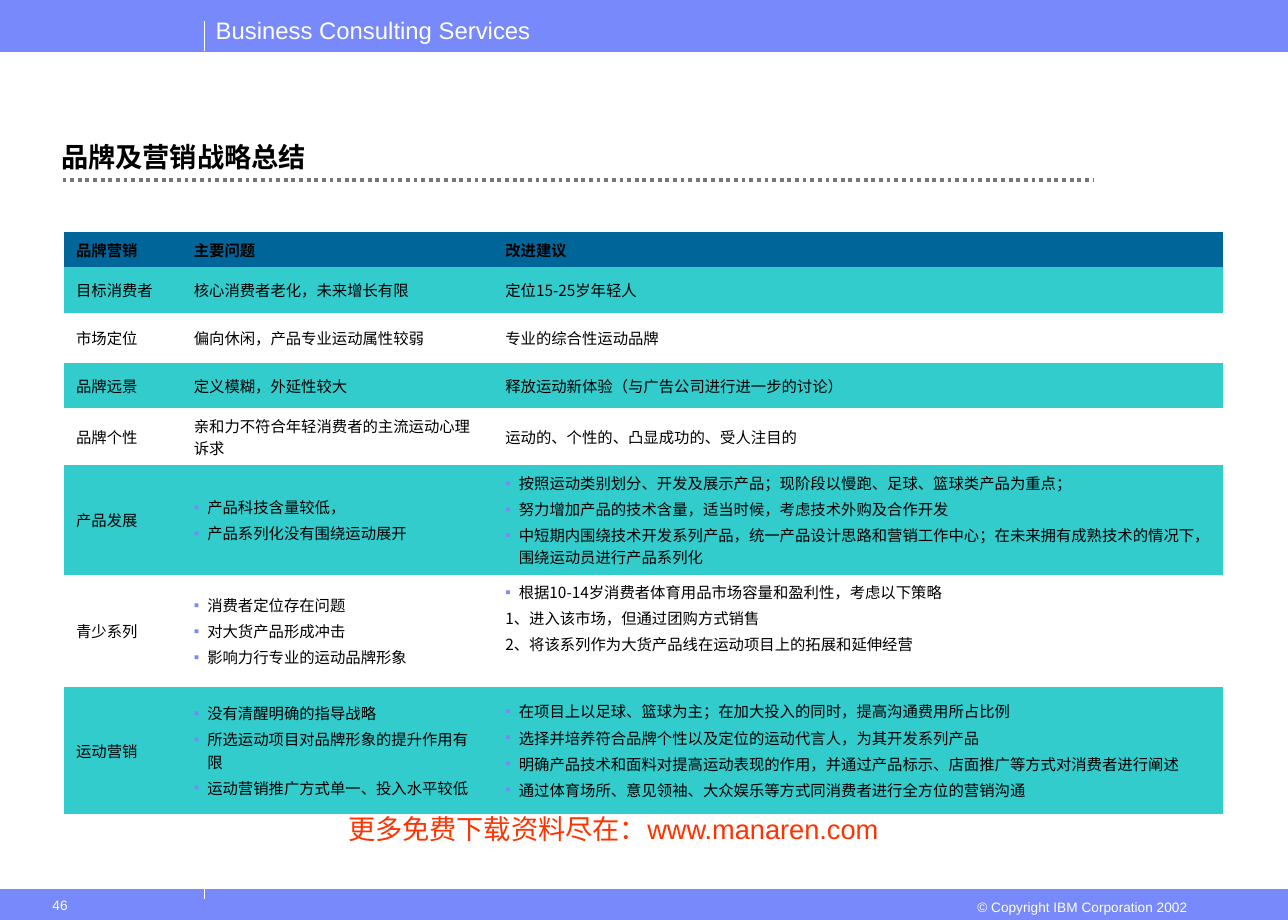
"""Build the brand and marketing strategy summary slide."""
from dataclasses import dataclass

from lxml import etree
from pptx import Presentation
from pptx import util as u
from pptx.dml.color import RGBColor
from pptx.enum import dml, shapes, text
from pptx.oxml import ns

STEP = 0.05
SANS, HAN = "Arial", "Noto Sans CJK SC"
BLUE, WHITE, BLACK = "7889FB", "FFFFFF", "000000"
NAVY, TEAL = "006699", "33CCCC"
PLAIN = "{2D5ABB26-0587-4C30-8999-92F81FD0307C}"


@dataclass
class Box:
    """A place on the grid of 210 columns and 150 rows."""
    x: float
    y: float
    w: float
    h: float

    def place(self) -> tuple:
        return tuple(grid(n) for n in (self.x, self.y, self.w, self.h))


@dataclass
class Label:
    """A line of text with its place and look."""
    box: Box
    words: str
    size: int = 8
    tint: str = WHITE
    side: text.PP_ALIGN = text.PP_ALIGN.LEFT
    wrap: bool = True


@dataclass
class Rule:
    """A straight line between two grid points."""
    x: float
    y: float
    x2: float
    y2: float
    tint: str = WHITE
    width: float = 0.75
    dash: bool = False


BARS = [Box(0, 145, 210, 5), Box(0, 0, 210, 8.4)]
RULES = [
    Rule(10.2, 29.4, 178.4, 29.4, "777777", 2.25, True),
    Rule(33.4, 8.4, 33.4, 3.4),
    Rule(33.4, 146.6, 33.4, 141.6),
]
LABELS = [
    Label(Box(33.2, 1.6, 55.4, 6.8), "Business Consulting Services", 14, wrap=False),
    Label(Box(156.6, 145.6, 39, 4.8), "© Copyright IBM Corporation 2002",
          side=text.PP_ALIGN.RIGHT),
    Label(Box(54.8, 131.4, 105, 12.8), "更多免费下载资料尽在：www.manaren.com", 16, "FF3300"),
    Label(Box(6.6, 145.2, 26.6, 4.8), "46"),
]
COLS = [19.2, 50.8, 119]
ROWS = [5.8, 7.4, 8.2, 7.4, 9.3, 17.8, 18.3, 20.7]
CELLS = [
    ("品牌营销", "主要问题", "改进建议"),
    ("目标消费者", "核心消费者老化，未来增长有限", "定位15-25岁年轻人"),
    ("市场定位", "偏向休闲，产品专业运动属性较弱", "专业的综合性运动品牌"),
    ("品牌远景", "定义模糊，外延性较大", "释放运动新体验（与广告公司进行进一步的讨论）"),
    ("品牌个性", "亲和力不符合年轻消费者的主流运动心理诉求",
     "运动的、个性的、凸显成功的、受人注目的"),
    ("产品发展",
     ["产品科技含量较低，", "产品系列化没有围绕运动展开"],
     ["按照运动类别划分、开发及展示产品；现阶段以慢跑、足球、篮球类产品为重点；",
      "努力增加产品的技术含量，适当时候，考虑技术外购及合作开发",
      "中短期内围绕技术开发系列产品，统一产品设计思路和营销工作中心；"
      "在未来拥有成熟技术的情况下，围绕运动员进行产品系列化"]),
    ("青少系列",
     ["消费者定位存在问题", "对大货产品形成冲击", "影响力行专业的运动品牌形象"],
     ["根据10-14岁消费者体育用品市场容量和盈利性，考虑以下策略",
      "1、进入该市场，但通过团购方式销售",
      "2、将该系列作为大货产品线在运动项目上的拓展和延伸经营"]),
    ("运动营销",
     ["没有清醒明确的指导战略", "所选运动项目对品牌形象的提升作用有限",
      "运动营销推广方式单一、投入水平较低"],
     ["在项目上以足球、篮球为主；在加大投入的同时，提高沟通费用所占比例",
      "选择并培养符合品牌个性以及定位的运动代言人，为其开发系列产品",
      "明确产品技术和面料对提高运动表现的作用，并通过产品标示、店面推广等方式对消费者进行阐述",
      "通过体育场所、意见领袖、大众娱乐等方式同消费者进行全方位的营销沟通"]),
]


def grid(n: float) -> int:
    return u.Inches(n * STEP)


def paint(fill, tint: str) -> None:
    fill.solid()
    fill.fore_color.rgb = RGBColor.from_string(tint)


def style(para, size: float, tint: str, face: str = SANS, bold: bool = False) -> None:
    font = para.font
    font.size, font.bold = u.Pt(size), bold
    paint(font.fill, tint)
    font.name = face
    props = para._p.pPr.find(ns.qn("a:defRPr"))
    etree.SubElement(props, ns.qn("a:ea"), typeface=HAN)


def mark(para, dot: bool) -> None:
    props = para._p.get_or_add_pPr()
    props.set("marL", str(u.Inches(0.11)))
    props.set("indent", str(u.Inches(-0.11)))
    if dot:
        tint = etree.SubElement(props, ns.qn("a:buClr"))
        etree.SubElement(tint, ns.qn("a:srgbClr"), val="7887FB")
        etree.SubElement(props, ns.qn("a:buFont"), typeface=SANS)
        etree.SubElement(props, ns.qn("a:buChar"), char="▪")


def add_bar(slide, box: Box) -> None:
    bar = slide.shapes.add_shape(shapes.MSO_SHAPE.RECTANGLE, *box.place())
    bar.shadow.inherit = False
    paint(bar.fill, BLUE)
    paint(bar.line.fill, BLUE)
    bar.line.width = u.Pt(0.75)


def add_rule(slide, rule: Rule) -> None:
    ends = [grid(n) for n in (rule.x, rule.y, rule.x2, rule.y2)]
    line = slide.shapes.add_connector(shapes.MSO_CONNECTOR.STRAIGHT, *ends)
    paint(line.line.fill, rule.tint)
    line.line.width = u.Pt(rule.width)
    if rule.dash:
        line.line.dash_style = dml.MSO_LINE.ROUND_DOT
    etree.SubElement(line._element.spPr, ns.qn("a:effectLst"))


def add_label(slide, label: Label) -> None:
    frame = slide.shapes.add_textbox(*label.box.place()).text_frame
    frame.word_wrap = label.wrap
    para = frame.paragraphs[0]
    para.text, para.alignment = label.words, label.side
    style(para, label.size, label.tint)


def add_title(slide) -> None:
    title = slide.shapes.title
    title.left, title.top, title.width, title.height = Box(8, 13.2, 170, 16).place()
    frame = title.text_frame
    frame.vertical_anchor = text.MSO_ANCHOR.BOTTOM
    frame.auto_size = text.MSO_AUTO_SIZE.NONE
    para = frame.paragraphs[0]
    para.text, para.alignment = "品牌及营销战略总结", text.PP_ALIGN.LEFT
    style(para, 16, BLACK, bold=True)


def fill_cell(cell, words: str | list[str], head: bool) -> None:
    items = [words] if isinstance(words, str) else words
    cell.vertical_anchor = text.MSO_ANCHOR.MIDDLE
    numbered = items[-1][0].isdigit()
    cell.margin_bottom = u.Inches(0.26 if numbered else 0.05)
    frame = cell.text_frame
    for n, item in enumerate(items):
        para = frame.add_paragraph() if n else frame.paragraphs[0]
        para.text = item
        if items is words:
            mark(para, not item[0].isdigit())
        if n:
            para.space_before = u.Pt(2.2)
        style(para, 9, BLACK, HAN, head)


def add_grid(slide) -> None:
    box = Box(10.4, 37.8, sum(COLS), sum(ROWS))
    table = slide.shapes.add_table(len(ROWS), len(COLS), *box.place()).table
    table.first_row = table.horz_banding = False
    table._tbl.tblPr.find(ns.qn("a:tableStyleId")).text = PLAIN
    for col, width in zip(table.columns, COLS):
        col.width = grid(width)
    for r, (row, height) in enumerate(zip(table.rows, ROWS)):
        row.height = grid(height)
        for cell, words in zip(row.cells, CELLS[r]):
            fill_cell(cell, words, r == 0)
            if r == 0 or r % 2:
                paint(cell.fill, TEAL if r else NAVY)
            else:
                cell.fill.background()


def main() -> None:
    deck = Presentation()
    deck.slide_width, deck.slide_height = grid(210), grid(150)
    slide = deck.slides.add_slide(deck.slide_layouts[5])
    for bar in BARS:
        add_bar(slide, bar)
    for rule in RULES:
        add_rule(slide, rule)
    add_title(slide)
    add_grid(slide)
    for label in LABELS:
        add_label(slide, label)
    deck.save("out.pptx")


if __name__ == "__main__":
    main()
